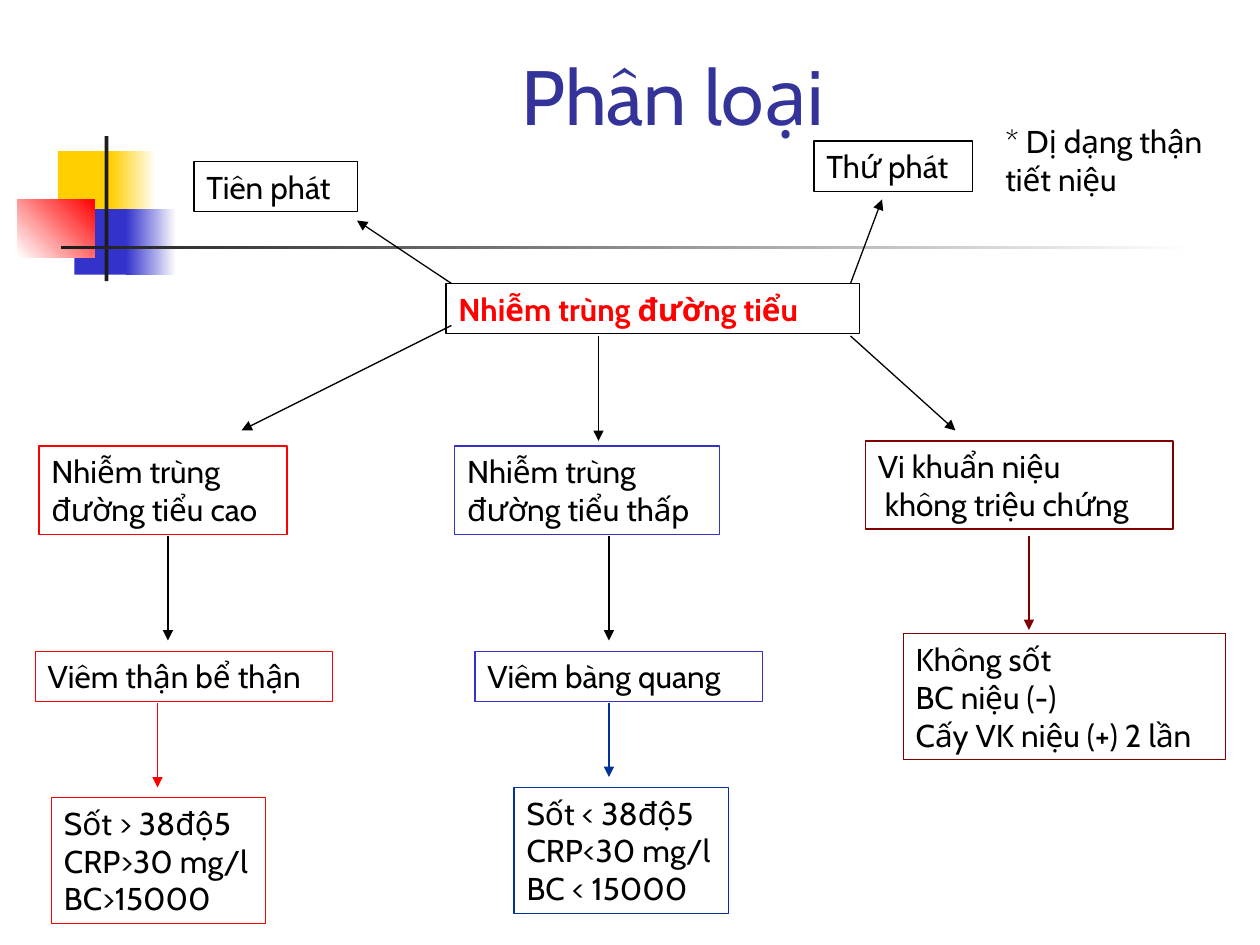
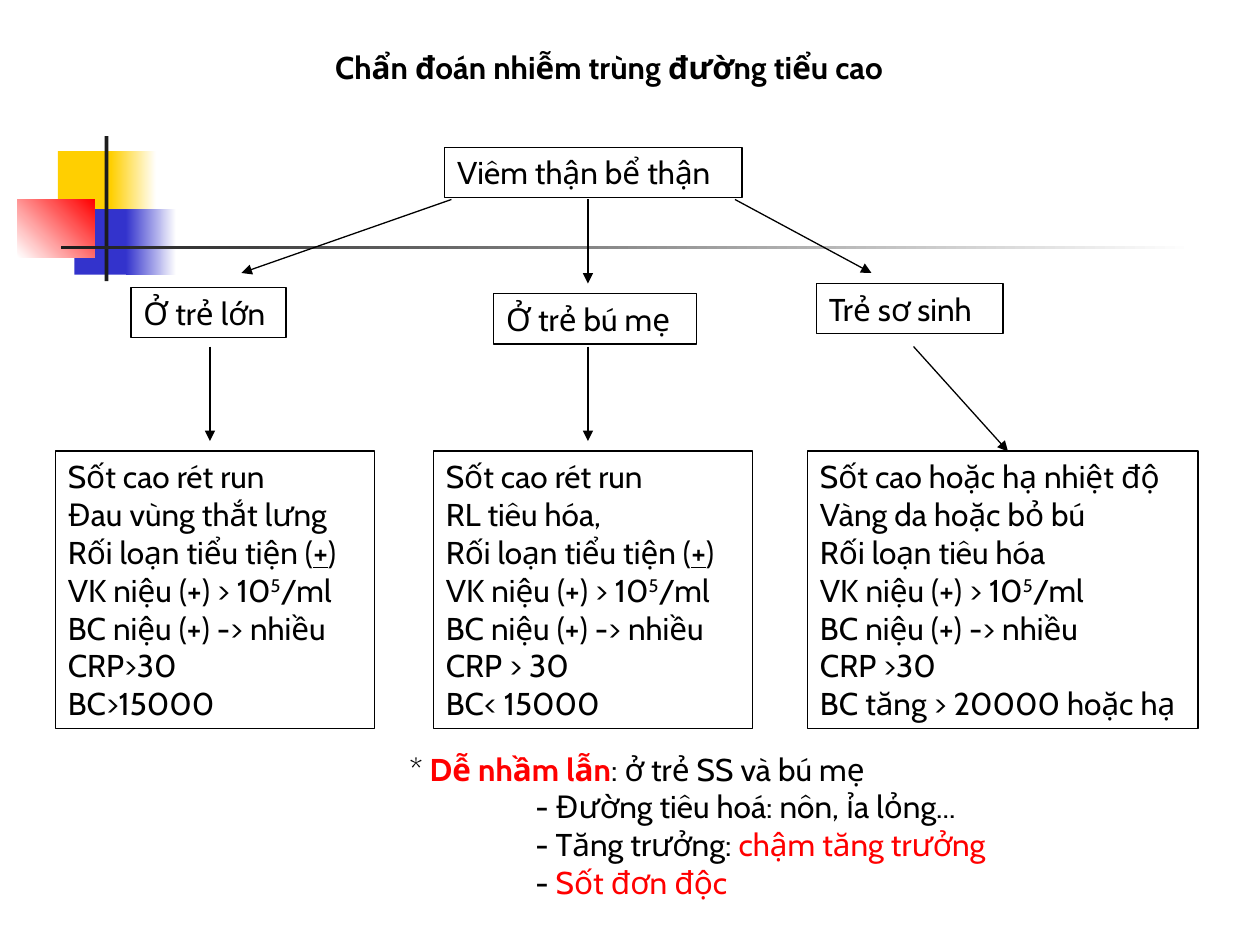
import dataclasses
import typing

import pptx
import pptx.dml.color
import pptx.enum.dml
import pptx.enum.shapes
import pptx.enum.text
import pptx.oxml
import pptx.oxml.ns
import pptx.util

Pt = pptx.util.Pt
ALIGN = pptx.enum.text.PP_ALIGN
ANCHOR = pptx.enum.text.MSO_ANCHOR
FONT = "Cabin"
SIZE = 18
LEAD = 21.6  # height of one text line
PAD = 7.2  # top and bottom insets together

HUES = {
    "black": "000000", "white": "FFFFFF", "red": "FF0000", "gold": "FFCF01",
    "blue": "3333CC", "navy": "003399", "maroon": "800000", "ink": "1C1C1C",
    "title": "333399",
}


@dataclasses.dataclass
class Span:
    text: str
    hue: str = ""
    bold: bool = False
    under: bool = False
    raised: bool = False


@dataclasses.dataclass
class Line:
    spans: list[Span]
    indent: float = 0


Lines = typing.Sequence[typing.Union[str, Line]]


@dataclasses.dataclass
class Box:
    left: float
    top: float
    width: float
    lines: Lines
    edge: str = "black"  # empty for plain text
    hue: str = "black"
    bold: bool = False
    height: float = 0  # 0 fits the lines


@dataclasses.dataclass
class Arrow:
    x1: float
    y1: float
    x2: float
    y2: float
    hue: str = "black"


@dataclasses.dataclass
class Block:
    left: float
    top: float
    width: float
    height: float
    hue: str
    fade: str = ""
    angle: float = 0


@dataclasses.dataclass
class Title:
    text: str
    left: float
    top: float
    width: float
    height: float
    size: float
    hue: str
    bold: bool
    align: ALIGN
    anchor: ANCHOR


# Shared decoration
DECOR = [
    Block(33.1, 86.4, 34.6, 37.4, "gold"),
    Block(63.4, 86.4, 25.9, 37.4, "gold", "white"),
    Block(42.5, 119.5, 33.1, 37.4, "blue"),
    Block(72, 119.5, 28.8, 37.4, "blue", "white"),
    Block(10.1, 113.8, 43.9, 33.1, "white", "red", 45),
    Block(59.8, 77.8, 2.2, 82.8, "ink"),
    Block(34.6, 140.4, 648, 2.2, "ink", "white"),
]

# Slide 1: classification
KINDS_TITLE = Title("Phân loại", 77.8, 18, 613.4, 66.2, 44, "title", False,
                    ALIGN.CENTER, ANCHOR.BOTTOM)
KINDS_BOXES = [
    Box(254.9, 162, 236.2, ["Nhiễm trùng đường tiểu"], hue="red", bold=True),
    Box(110.9, 92.2, 93.6, ["Tiên phát"]),
    Box(465.1, 80.6, 90.7, ["Thứ phát"]),
    Box(567.4, 66.2, 142.6, ["* Dị dạng thận", "tiết niệu"], ""),
    Box(22.3, 254.9, 141.8, ["Nhiễm trùng", "đường tiểu cao"], "red"),
    Box(259.9, 254.9, 151.2, ["Nhiễm trùng", "đường tiểu thấp"], "blue"),
    Box(494.6, 252, 175.7, ["Vi khuẩn niệu", " không triệu chứng"], "maroon"),
    Box(20.2, 372.2, 169.9, ["Viêm thận bể thận"], "red"),
    Box(271.4, 372.2, 164.2, ["Viêm bàng quang"], "blue"),
    Box(516.2, 362.2, 184.3,
        ["Không sốt", "BC niệu (-)", "Cấy VK niệu (+) 2 lần"], "maroon"),
    Box(29.5, 455.8, 122.4, ["Sốt > 38độ5", "CRP>30 mg/l", "BC>15000"], "red"),
    Box(293.8, 450, 122.4, ["Sốt < 38độ5", "CRP<30 mg/l", "BC < 15000"], "navy"),
]
KINDS_ARROWS = [
    Arrow(258, 162, 204, 126),
    Arrow(486, 162, 504, 114),
    Arrow(258, 186, 138, 246),
    Arrow(342, 192, 342, 252),
    Arrow(486, 192, 546, 246),
    Arrow(96, 306, 96, 366),
    Arrow(348, 306, 348, 366),
    Arrow(588, 306, 588, 360, "maroon"),
    Arrow(90, 402, 90, 450, "red"),
    Arrow(348, 402, 348, 444, "navy"),
]

# Slide 2: diagnosis by age
SIGNS_TITLE = Title("Chẩn đoán nhiễm trùng đường tiểu cao", 184.3, 23.8, 370.1,
                    28.8, SIZE, "black", True, ALIGN.LEFT, ANCHOR.TOP)
VOIDING = Line([Span("Rối loạn tiểu tiện ("), Span("+", under=True), Span(")")])
URINE = [
    Line([Span("VK niệu (+) > 10"), Span("5", raised=True), Span("/ml")]),
    "BC niệu (+) -> nhiều",
]
MIXUP = [
    Line([Span("* "), Span("Dễ nhầm lẫn", "red", True),
          Span(": ở trẻ SS và bú mẹ")]),
    Line([Span("- Đường tiêu hoá: nôn, ỉa lỏng...")], 72),
    Line([Span("- Tăng trưởng: "), Span("chậm tăng trưởng", "red")], 72),
    Line([Span("- "), Span("Sốt đơn độc", "red")], 72),
]
SIGNS_BOXES = [
    Box(254.2, 84.2, 169.9, ["Viêm thận bể thận"]),
    Box(74.9, 164.2, 88.6, ["Ở trẻ lớn"]),
    Box(282.2, 167.8, 115.9, ["Ở trẻ bú mẹ"]),
    Box(466.6, 162, 106.6, ["Trẻ sơ sinh"]),
    Box(31.7, 257.8, 182.2, ["Sốt cao rét run", "Đau vùng thắt lưng", VOIDING,
                             *URINE, "CRP>30", "BC>15000"]),
    Box(247.7, 257.8, 182.2, ["Sốt cao rét run", "RL tiêu hóa,", VOIDING,
                              *URINE, "CRP > 30", "BC< 15000"]),
    Box(461.5, 257.8, 223.2, ["Sốt cao hoặc hạ nhiệt độ", "Vàng da hoặc bỏ bú",
                              "Rối loạn tiêu hóa", *URINE, "CRP >30",
                              "BC tăng > 20000 hoặc hạ"]),
    Box(226.8, 424.8, 412.6, MIXUP, "", height=115.2),
]
SIGNS_ARROWS = [
    Arrow(258, 114, 138, 156),
    Arrow(336, 114, 336, 162),
    Arrow(420, 114, 498, 156),
    Arrow(120, 198, 120, 252),
    Arrow(336, 198, 336, 252),
    Arrow(522, 198, 576, 258),
]


def rgb(hue: str) -> pptx.dml.color.RGBColor:
    return pptx.dml.color.RGBColor.from_string(HUES[hue])


def style(para, size: float, hue: str, bold: bool) -> None:
    font = para.font
    font.name, font.size, font.bold = FONT, Pt(size), bold
    font.color.rgb = rgb(hue)


def add_line(para, line: typing.Union[str, Line]) -> None:
    if isinstance(line, str):
        line = Line([Span(line)])
    if line.indent:
        props = para._p.get_or_add_pPr()
        props.set("marL", str(Pt(line.indent)))
        props.set("indent", "0")
    for span in line.spans:
        run = para.add_run()
        run.text = span.text
        if span.hue:
            run.font.color.rgb = rgb(span.hue)
        if span.bold:
            run.font.bold = True
        if span.under:
            run.font.underline = True
        if span.raised:
            run._r.get_or_add_rPr().set("baseline", "30000")


def add_rect(slide, left: float, top: float, width: float, height: float):
    shape = slide.shapes.add_shape(pptx.enum.shapes.MSO_SHAPE.RECTANGLE,
                                   Pt(left), Pt(top), Pt(width), Pt(height))
    shape.shadow.inherit = False
    return shape


def add_box(slide, box: Box) -> None:
    height = box.height or PAD + LEAD * len(box.lines)
    area = box.left, box.top, box.width, height
    if box.edge:
        shape = add_rect(slide, *area)
        shape.fill.background()
        shape.line.color.rgb = rgb(box.edge)
        shape.line.width = Pt(0.75)
    else:
        shape = slide.shapes.add_textbox(*map(Pt, area))
    frame = shape.text_frame
    frame.word_wrap = True
    frame.vertical_anchor = ANCHOR.TOP
    for i, line in enumerate(box.lines):
        para = frame.add_paragraph() if i else frame.paragraphs[0]
        para.alignment = ALIGN.LEFT
        style(para, SIZE, box.hue, box.bold)
        add_line(para, line)


def add_arrow(slide, arrow: Arrow) -> None:
    link = slide.shapes.add_connector(
        pptx.enum.shapes.MSO_CONNECTOR.STRAIGHT,
        Pt(arrow.x1), Pt(arrow.y1), Pt(arrow.x2), Pt(arrow.y2))
    link.line.color.rgb = rgb(arrow.hue)
    link.line.width = Pt(0.75)
    space = pptx.oxml.ns.nsdecls("a")
    link.line._get_or_add_ln().append(
        pptx.oxml.parse_xml(f'<a:tailEnd {space} type="triangle"/>'))
    link.element.spPr.append(pptx.oxml.parse_xml(f"<a:effectLst {space}/>"))


def add_decor(slide) -> None:
    """Draw the blocks and move them to the slide's layout."""
    tree = slide.slide_layout.shapes.element
    for i, block in enumerate(DECOR):
        shape = add_rect(slide, block.left, block.top, block.width, block.height)
        shape.line.fill.background()
        if block.fade:
            shape.fill.gradient()
            shape.fill.gradient_angle = block.angle
            for stop, hue in zip(shape.fill.gradient_stops,
                                 (block.hue, block.fade)):
                stop.color.rgb = rgb(hue)
        else:
            shape.fill.solid()
            shape.fill.fore_color.rgb = rgb(block.hue)
        shape.element.nvSpPr.cNvPr.set("id", str(100 + i))
        tree.append(shape.element)


def set_title(slide, title: Title) -> None:
    shape = slide.shapes.title
    shape.left, shape.top = Pt(title.left), Pt(title.top)
    shape.width, shape.height = Pt(title.width), Pt(title.height)
    frame = shape.text_frame
    frame.text = title.text
    frame.auto_size = pptx.enum.text.MSO_AUTO_SIZE.NONE
    frame.vertical_anchor = title.anchor
    para = frame.paragraphs[0]
    para.alignment = title.align
    style(para, title.size, title.hue, title.bold)


def main() -> None:
    deck = pptx.Presentation()
    deck.slide_width, deck.slide_height = Pt(720), Pt(540)
    layout = deck.slide_layouts.get_by_name("Title Only")
    pages = [
        (KINDS_TITLE, KINDS_BOXES, KINDS_ARROWS),
        (SIGNS_TITLE, SIGNS_BOXES, SIGNS_ARROWS),
    ]
    for i, (title, boxes, arrows) in enumerate(pages):
        slide = deck.slides.add_slide(layout)
        if i == 0:
            add_decor(slide)
        set_title(slide, title)
        for box in boxes:
            add_box(slide, box)
        for arrow in arrows:
            add_arrow(slide, arrow)
    deck.save("out.pptx")


if __name__ == "__main__":
    main()
